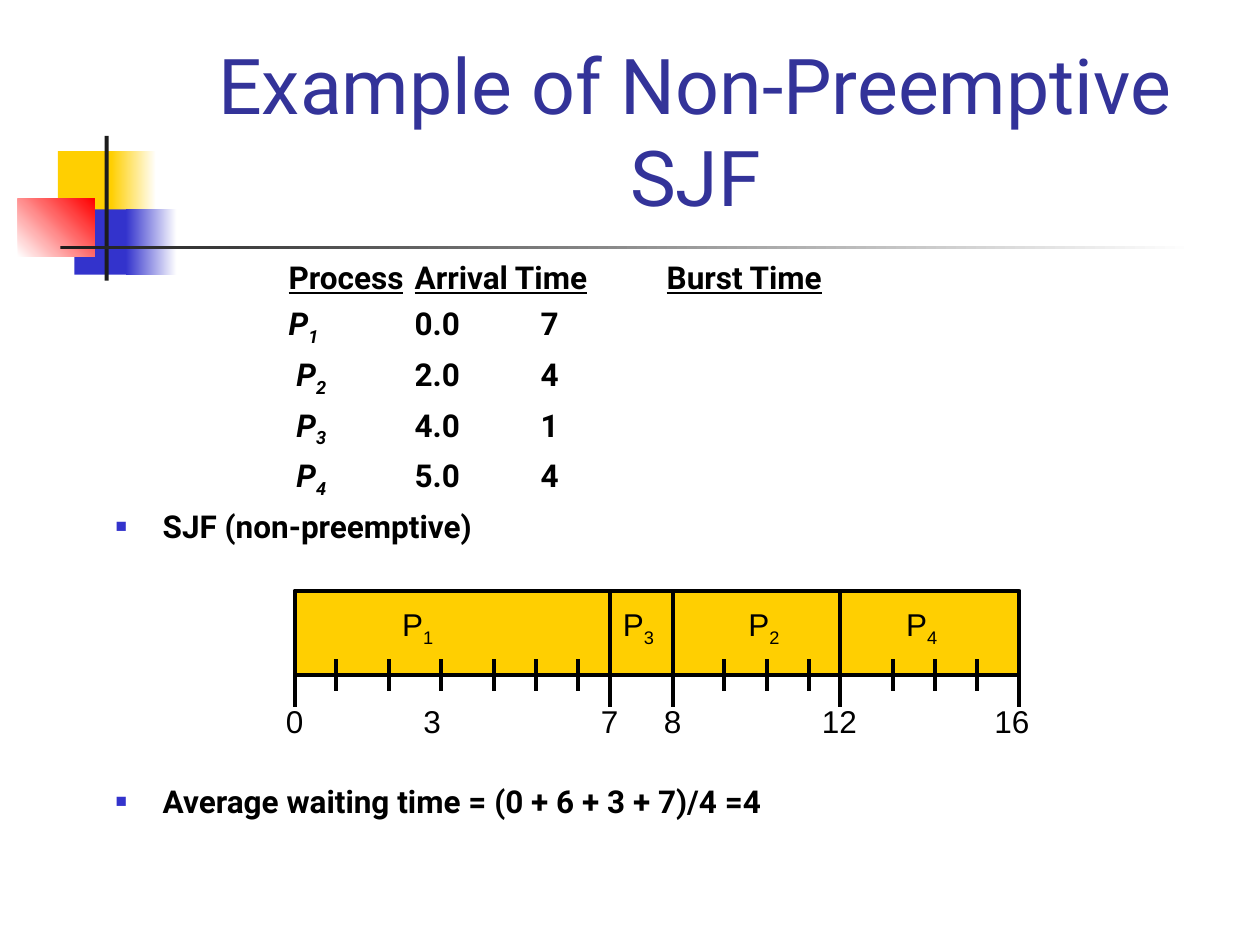
from dataclasses import dataclass, field
from typing import Any, Optional

from lxml.etree import SubElement
from pptx import Presentation
from pptx.dml.color import RGBColor
from pptx.enum.shapes import MSO_CONNECTOR, MSO_SHAPE
from pptx.enum.text import MSO_ANCHOR, PP_ALIGN
from pptx.oxml.ns import qn
from pptx.util import Cm, Pt

COLORS = {
    "yellow": "FFCF01", "blue": "3333CC", "red": "FF0000", "white": "FFFFFF",
    "charcoal": "1C1C1C", "title": "333399", "black": "000000",
}
TITLE_FONT = {"name": "Roboto", "size": Pt(44)}
BODY_FONT = {"name": "Roboto", "size": Pt(18), "bold": True}
CHART_FONT = {"name": "Arial", "size": Pt(18)}
LABEL_FRAME = {"word_wrap": False, "vertical_anchor": MSO_ANCHOR.MIDDLE}
TITLE_FRAME = {"word_wrap": True, "vertical_anchor": MSO_ANCHOR.MIDDLE}
BODY_FRAME = {"word_wrap": True, "vertical_anchor": MSO_ANCHOR.TOP}
BAR_TOP, BAR_WIDTH, BAR_HEIGHT = 11.91, 6.35, 1.7
BAR_BOTTOM = BAR_TOP + BAR_HEIGHT


@dataclass
class Block:
    left: float
    top: float
    width: float
    height: float
    color: str
    fade_to: Optional[str] = None
    angle: float = 0
    outlined: bool = False


@dataclass
class Span:
    text: str
    font: dict[str, Any] = field(default_factory=dict)
    subscript: bool = False


@dataclass
class Bar:
    process: str
    end: float
    label_center: float


@dataclass
class TimeLabel:
    text: str
    center: float
    width: float = 0.86


DECORATION = [
    Block(1.17, 3.05, 1.22, 1.32, "yellow"),
    Block(2.24, 3.05, 0.91, 1.32, "yellow", "white"),
    Block(1.5, 4.22, 1.17, 1.32, "blue"),
    Block(2.54, 4.22, 1.02, 1.32, "blue", "white"),
    Block(0.36, 4.01, 1.55, 1.17, "white", "red", 45),
    Block(2.11, 2.74, 0.08, 2.92, "charcoal"),
    Block(1.22, 4.95, 22.86, 0.08, "charcoal", "white"),
]
PROCESSES = [("P", "1", "0.0", "7"), (" P", "2", "2.0", "4"),
             (" P", "3", "4.0", "1"), (" P", "4", "5.0", "4")]
BARS = [Bar("4", 20.55, 18.58), Bar("2", 16.94, 15.4),
        Bar("3", 13.56, 12.87), Bar("1", 12.29, 8.42)]
TIMES = [TimeLabel("0", 5.94), TimeLabel("3", 8.71), TimeLabel("7", 12.29),
         TimeLabel("8", 13.56), TimeLabel("12", 16.92, 1.22), TimeLabel("16", 20.4, 1.22)]
LONG_TICKS = [5.94, 12.29, 13.56, 16.94, 20.55]
SHORT_TICKS = [6.78, 7.85, 8.89, 9.96, 10.8, 11.66, 14.6, 15.47, 16.31, 18.01, 18.85, 19.69]


def rgb(name: str) -> RGBColor:
    return RGBColor.from_string(COLORS[name])


def apply(target: Any, values: dict[str, Any]) -> None:
    for name, value in values.items():
        setattr(target, name, value)


def add_block(page: Any, block: Block) -> None:
    shape = page.shapes.add_shape(MSO_SHAPE.RECTANGLE, Cm(block.left), Cm(block.top),
                                  Cm(block.width), Cm(block.height))
    shape.shadow.inherit = False
    if block.fade_to:
        shape.fill.gradient()
        shape.fill.gradient_angle = block.angle
        for stop, name, position in zip(shape.fill.gradient_stops,
                                        (block.color, block.fade_to), (0, 1)):
            stop.color.rgb = rgb(name)
            stop.position = position
    else:
        shape.fill.solid()
        shape.fill.fore_color.rgb = rgb(block.color)
    if block.outlined:
        shape.line.color.rgb = rgb("black")
        shape.line.width = Pt(2.25)
    else:
        shape.line.fill.background()


def add_frame(page: Any, left: float, top: float, width: float, height: float,
              values: dict[str, Any]) -> Any:
    box = page.shapes.add_textbox(Cm(left), Cm(top), Cm(width), Cm(height))
    apply(box.text_frame, values)
    return box.text_frame


def write(para: Any, spans: list[Span], font: dict[str, Any], color: str = "black") -> None:
    for span in spans:
        run = para.add_run()
        run.text = span.text
        apply(run.font, {**font, **span.font})
        run.font.color.rgb = rgb(color)
        if span.subscript:
            run.font._element.set("baseline", "-25000")


def add_label(page: Any, center: float, top: float, width: float, height: float,
              spans: list[Span]) -> None:
    frame = add_frame(page, center - width / 2, top, width, height, LABEL_FRAME)
    frame.paragraphs[0].alignment = PP_ALIGN.CENTER
    write(frame.paragraphs[0], spans, CHART_FONT)


def add_tick(page: Any, x: float, top: float, bottom: float) -> None:
    tick = page.shapes.add_connector(MSO_CONNECTOR.STRAIGHT, Cm(x), Cm(top), Cm(x), Cm(bottom))
    tick.line.color.rgb = rgb("black")
    tick.line.width = Pt(2.25)
    SubElement(tick._element.spPr, qn("a:effectLst"))


def set_tabs(para: Any, positions: list[float]) -> None:
    tabs = SubElement(para._p.get_or_add_pPr(), qn("a:tabLst"))
    for position in positions:
        SubElement(tabs, qn("a:tab"), pos=str(Cm(position)), algn="l")


def set_bullet(para: Any) -> None:
    properties = para._p.get_or_add_pPr()
    apply_indent = {"marL": str(Cm(0.95)), "indent": str(Cm(-0.95))}
    for name, value in apply_indent.items():
        properties.set(name, value)
    color = SubElement(properties, qn("a:buClr"))
    SubElement(color, qn("a:srgbClr"), val=COLORS["blue"])
    SubElement(properties, qn("a:buSzPct"), val="60000")
    SubElement(properties, qn("a:buFont"), typeface="Arial")
    SubElement(properties, qn("a:buChar"), char="■")


def add_body(page: Any) -> None:
    frame = add_frame(page, 2.08, 5.08, 21.59, 11.43, BODY_FRAME)
    underline = {"underline": True}
    header = frame.paragraphs[0]
    set_tabs(header, [3.49, 6.03, 11.11])
    write(header, [Span("\t"), Span("Process", underline), Span("\t"),
                   Span("Arrival Time", underline), Span("\t"),
                   Span("Burst Time", underline)], BODY_FONT)
    italic = {"italic": True}
    for name, number, arrival, burst in PROCESSES:
        row = frame.add_paragraph()
        set_tabs(row, [3.49, 6.03, 8.57])
        row.space_before = Pt(4.5)
        write(row, [Span("\t"), Span(name, italic), Span(number, italic, True),
                    Span(f"\t{arrival}\t{burst}")], BODY_FONT)
    for text, gap in (("SJF (non-preemptive)", 4.5),
                      ("Average waiting time = (0 + 6 + 3 + 7)/4 =4", 135.5)):
        point = frame.add_paragraph()
        set_bullet(point)
        point.space_before = Pt(gap)
        write(point, [Span(text)], BODY_FONT)


def add_gantt(page: Any) -> None:
    for bar in BARS:
        add_block(page, Block(bar.end - BAR_WIDTH, BAR_TOP, BAR_WIDTH, BAR_HEIGHT,
                              "yellow", outlined=True))
        add_label(page, bar.label_center, 12.07, 1.14, 1.12,
                  [Span("P"), Span(bar.process, subscript=True)])
    for x in LONG_TICKS:
        add_tick(page, x, BAR_BOTTOM, BAR_BOTTOM + 0.64)
    for x in SHORT_TICKS:
        add_tick(page, x, BAR_BOTTOM - 0.32, BAR_BOTTOM + 0.32)
    for time in TIMES:
        add_label(page, time.center, 14.02, time.width, 1.02, [Span(time.text)])


def main() -> None:
    deck = Presentation()
    apply(deck, {"slide_width": Cm(25.4), "slide_height": Cm(19.05)})
    page = deck.slides.add_slide(deck.slide_layouts[6])
    for block in DECORATION:
        add_block(page, block)
    add_body(page)
    title = add_frame(page, 3.2, 0.58, 21.64, 4.06, TITLE_FRAME).paragraphs[0]
    title.alignment = PP_ALIGN.CENTER
    write(title, [Span("Example of Non-Preemptive SJF")], TITLE_FONT, "title")
    add_gantt(page)
    deck.save("out.pptx")


if __name__ == "__main__":
    main()
